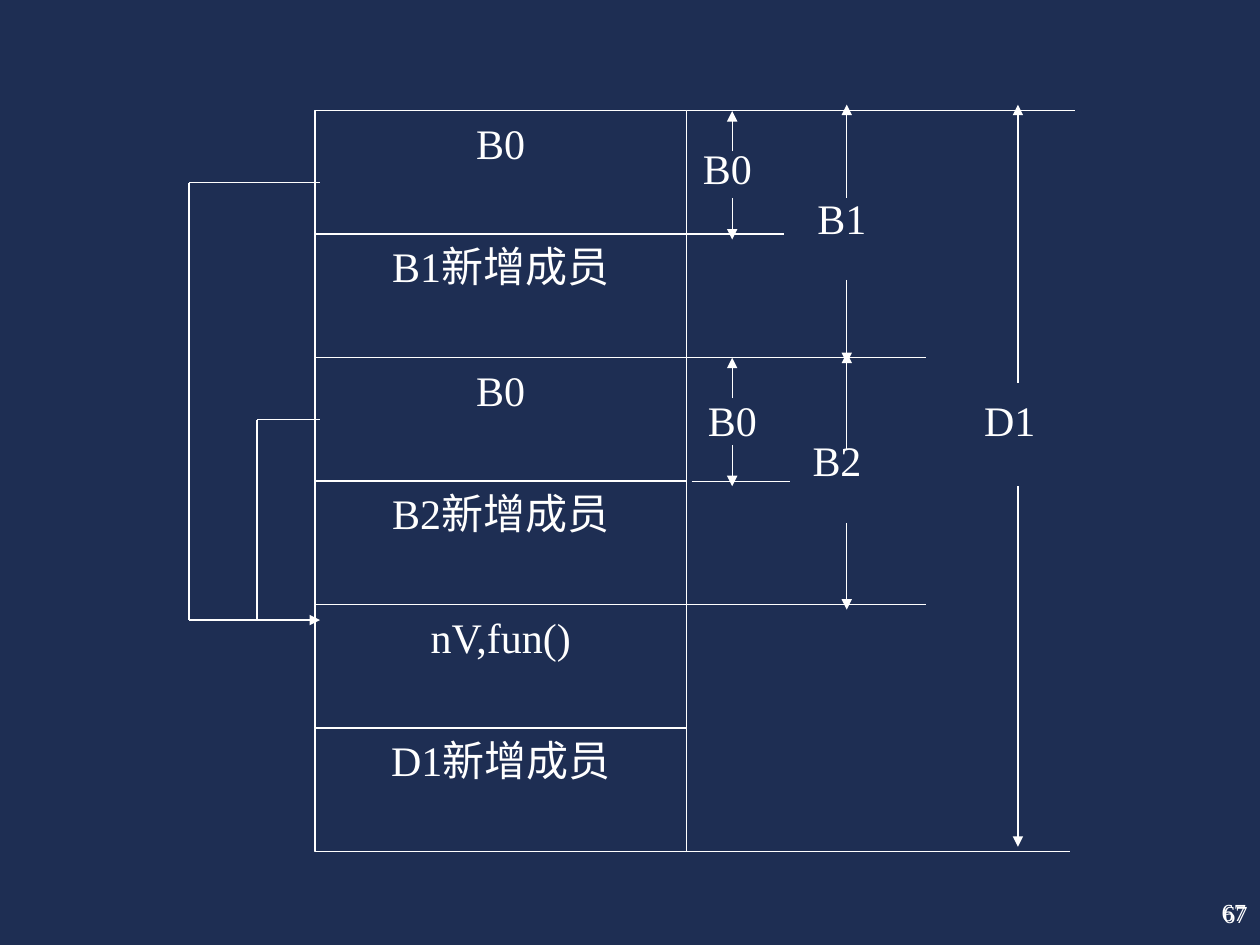
from lxml import etree
from pptx import Presentation
from pptx.dml.color import RGBColor
from pptx.enum import shapes, text
from pptx.oxml.ns import qn
from pptx.util import Cm, Pt

COLORS = {"back": "1E2E53", "ink": "FFFFFF"}
FONT = "Times New Roman"

# Content; lengths in cm
BLOCKS = ["B0", "B1新增成员", "B0", "B2新增成员", "nV,fun()", "D1新增成员"]
LEFT, TOP, WIDTH, ROW = 6.35, 2.23, 7.49, 2.49

# Row boundary, start x, end x
RULES = [(0, 13.84, 21.67), (1, 13.84, 15.8), (2, 13.84, 18.67),
         (3, 13.94, 15.93), (4, 13.84, 18.67), (6, 13.72, 21.56)]

# Label, label position, arrow x, upper tip, gap start, gap end, lower tip
SPANS = [("B0", (14.17, 2.87), 14.76, 2.24, 3.05, 3.99, 4.83),
         ("B0", (14.27, 7.95), 14.76, 7.21, 8.03, 8.97, 9.8),
         ("B1", (16.48, 3.89), 17.07, 2.11, 3.99, 5.64, 7.32),
         ("B2", (16.38, 8.76), 17.07, 7.11, 9.07, 10.54, 12.29),
         ("D1", (19.84, 7.95), 20.52, 2.11, 7.72, 9.8, 17.07)]

# Pointers into the shared block: x, start y
POINTERS = [(3.81, 3.68), (5.18, 8.46)]
POINTER_END = (6.45, 12.5)

# Page number boxes, overlaid
PAGE = "67"
PAGE_BOXES = [((23.67, 17.96, 1.7, 0.86), "TOP"),
              ((20.12, 17.78, 5.28, 1.27), "MIDDLE")]


def rgb(name):
    return RGBColor.from_string(COLORS[name])


def write(sp, words, size, align, inset, anchor="TOP"):
    tf = sp.text_frame
    side, edge = inset
    frame = {"word_wrap": True, "vertical_anchor": text.MSO_ANCHOR[anchor],
             "margin_left": Cm(side), "margin_right": Cm(side),
             "margin_top": Cm(edge), "margin_bottom": Cm(edge)}
    for key, value in frame.items():
        setattr(tf, key, value)
    p = tf.paragraphs[0]
    p.alignment = text.PP_ALIGN[align]
    r = p.add_run()
    r.text = words
    for key, value in {"size": Pt(size), "name": FONT}.items():
        setattr(r.font, key, value)
    r.font.color.rgb = rgb("ink")


def add_line(s, x1, y1, x2, y2, arrow=False):
    ln = s.shapes.add_connector(shapes.MSO_CONNECTOR.STRAIGHT,
                                Cm(x1), Cm(y1), Cm(x2), Cm(y2))
    ln.line.color.rgb = rgb("ink")
    ln.line.width = Pt(0.75)
    if arrow:
        etree.SubElement(ln.line._get_or_add_ln(), qn("a:tailEnd"), type="triangle")
    etree.SubElement(ln._element.spPr, qn("a:effectLst"))


def add_text(s, box, *args):
    write(s.shapes.add_textbox(*map(Cm, box)), *args)


def main():
    prs = Presentation()
    prs.slide_width, prs.slide_height = Cm(25.4), Cm(19.05)
    s = prs.slides.add_slide(prs.slide_layouts[6])
    s.background.fill.solid()
    s.background.fill.fore_color.rgb = rgb("back")

    # Memory blocks
    for i, words in enumerate(BLOCKS):
        sp = s.shapes.add_shape(shapes.MSO_SHAPE.RECTANGLE, Cm(LEFT),
                                Cm(TOP + i * ROW), Cm(WIDTH), Cm(ROW))
        sp.shadow.inherit = False
        sp.fill.background()
        sp.line.color.rgb = rgb("ink")
        sp.line.width = Pt(0.75)
        write(sp, words, 24, "CENTER", (0, 0.13))

    # Extension rules at the row boundaries
    for row, x1, x2 in RULES:
        y = TOP + row * ROW
        add_line(s, x1, y, x2, y)

    # Class extents
    for label, (lx, ly), x, upper, gap_start, gap_end, lower in SPANS:
        add_line(s, x, gap_start, x, upper, True)
        add_line(s, x, gap_end, x, lower, True)
        add_text(s, (lx, ly, 2.08, 1.55), label, 24, "JUSTIFY", (0, 0))

    # Pointers joining one arrow
    end_x, end_y = POINTER_END
    for x, y in POINTERS:
        add_line(s, end_x, y, x, y)
        add_line(s, x, y, x, end_y)
    add_line(s, POINTERS[0][0], end_y, end_x, end_y, True)

    # Page number
    for box, anchor in PAGE_BOXES:
        add_text(s, box, PAGE, 14, "RIGHT", (0.25, 0.13), anchor)

    prs.save("out.pptx")


if __name__ == "__main__":
    main()
